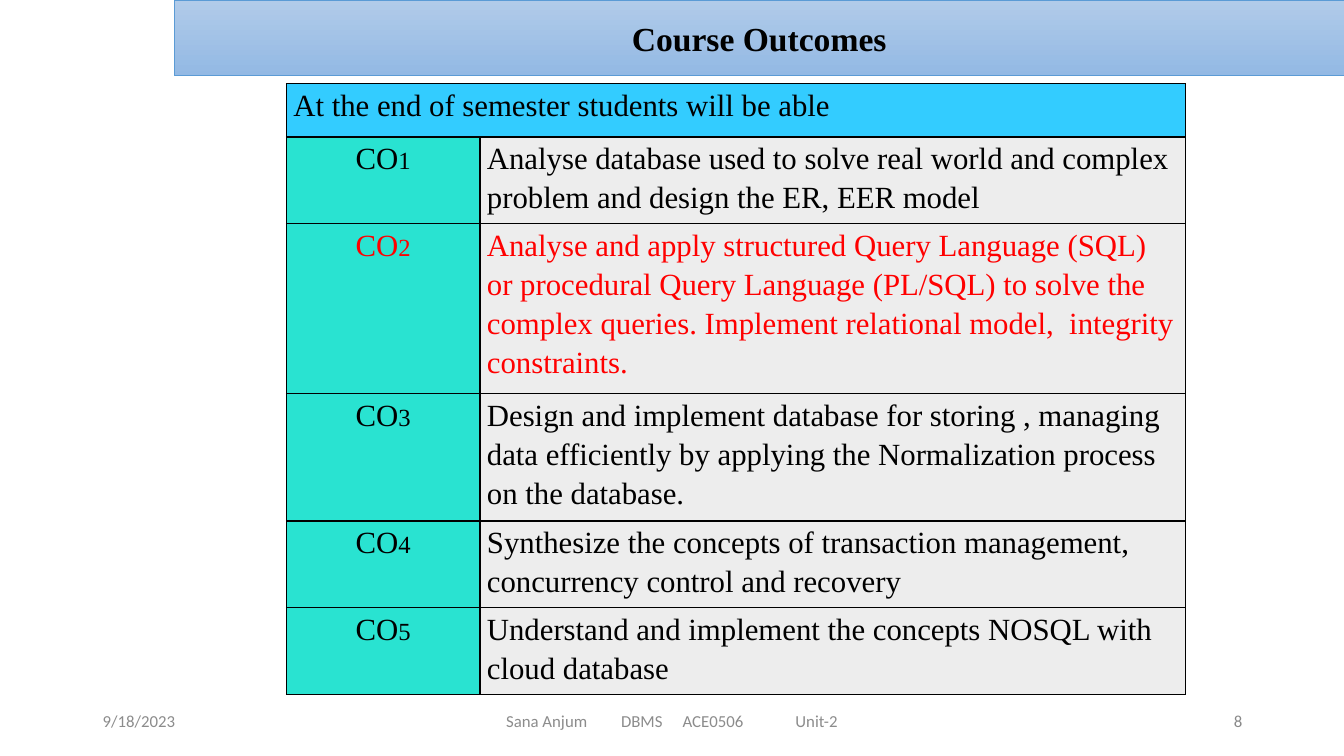
from dataclasses import dataclass

from lxml import etree
from pptx import Presentation
from pptx.dml.color import RGBColor
from pptx.enum.shapes import MSO_SHAPE
from pptx.enum.text import MSO_ANCHOR, PP_ALIGN
from pptx.oxml.ns import qn
from pptx.util import Inches, Pt

RECTANGLE = MSO_SHAPE.RECTANGLE
MIDDLE = MSO_ANCHOR.MIDDLE
LEFT, CENTER, RIGHT = PP_ALIGN.LEFT, PP_ALIGN.CENTER, PP_ALIGN.RIGHT


@dataclass(frozen=True)
class Theme:
    serif: str = "Times New Roman"
    sans: str = "Calibri"
    title_size: int = 24
    table_size: int = 22
    footer_size: int = 12
    text: str = "000000"
    highlight: str = "FF0000"
    footer: str = "8C8C8C"
    page_number: str = "898989"
    banner_top: str = "B1CBE9"
    banner_bottom: str = "93B9E4"
    banner_line: str = "5B9BD5"
    heading_fill: str = "33CCFF"
    code_fill: str = "29E3D1"
    outcome_fill: str = "EDEDED"


theme = Theme()


def style_text(frame, align, font, size, color):
    para = frame.paragraphs[0]
    para.alignment = align
    for span in para.runs:
        span.font.name = font
        span.font.size = Pt(size)
        span.font.color.rgb = RGBColor.from_string(color)
    return para


def add_cell_borders(cell):
    properties = cell._tc.get_or_add_tcPr()
    for side in ("a:lnL", "a:lnR", "a:lnT", "a:lnB"):
        line = etree.SubElement(properties, qn(side), w=str(Pt(1)))
        fill = etree.SubElement(line, qn("a:solidFill"))
        etree.SubElement(fill, qn("a:srgbClr"), val=theme.text)


deck = Presentation()
deck.slide_width = Inches(13.33)
deck.slide_height = Inches(7.5)
page = deck.slides.add_slide(deck.slide_layouts[6])

footers = [
    (0.92, 3, 0.1, "9/18/2023", LEFT, theme.footer, []),
    (4.42, 4.5, 0.6, "Sana Anjum\tDBMS\tACE0506\tUnit-2", LEFT, theme.footer, [1.14, 1.75, 2.87]),
    (9.42, 3, 0.1, "8", RIGHT, theme.page_number, []),
]
for left, width, inset, text, align, color, tabs in footers:
    box = page.shapes.add_textbox(Inches(left), Inches(6.95), Inches(width), Inches(0.4))
    frame = box.text_frame
    frame.word_wrap = True
    frame.vertical_anchor = MIDDLE
    frame.margin_left = Inches(inset)
    frame.text = text
    if tabs:
        properties = frame.paragraphs[0]._p.get_or_add_pPr()
        tab_list = etree.SubElement(properties, qn("a:tabLst"))
        for position in tabs:
            etree.SubElement(tab_list, qn("a:tab"), pos=str(Inches(position)), algn="l")
    style_text(frame, align, theme.sans, theme.footer_size, color)

banner = page.shapes.add_shape(RECTANGLE, Inches(1.73), Inches(0), Inches(11.6), Inches(0.75))
banner.shadow.inherit = False
banner.fill.gradient()
banner.fill.gradient_angle = 270
for stop, color in zip(banner.fill.gradient_stops, (theme.banner_top, theme.banner_bottom)):
    stop.color.rgb = RGBColor.from_string(color)
banner.line.color.rgb = RGBColor.from_string(theme.banner_line)
banner.line.width = Pt(0.5)
banner.text_frame.text = "Course Outcomes"
banner.text_frame.vertical_anchor = MIDDLE
title = style_text(banner.text_frame, CENTER, theme.serif, theme.title_size, theme.text)
title.runs[0].font.bold = True

outcomes = [
    "Analyse database used to solve real world and complex problem and design the ER, EER model",
    "Analyse and apply structured Query Language (SQL) or procedural Query Language (PL/SQL) "
    "to solve the complex queries. Implement relational model,  integrity constraints.",
    "Design and implement database for storing , managing data efficiently by applying "
    "the Normalization process on the database.",
    "Synthesize the concepts of transaction management, concurrency control and recovery",
    "Understand and implement the concepts NOSQL with cloud database",
]
rows = [("At the end of semester students will be able", "")]
rows += [(f"CO{number}", outcome) for number, outcome in enumerate(outcomes, 1)]
column_widths = [1.92, 7]
row_heights = [0.53, 0.86, 1.59, 1.19, 0.86, 0.86]

table = page.shapes.add_table(
    len(rows), len(column_widths), Inches(2.84), Inches(0.83),
    Inches(sum(column_widths)), Inches(sum(row_heights)),
).table
table.first_row = False
table.horz_banding = False
for column, width in zip(table.columns, column_widths):
    column.width = Inches(width)
for row, height in zip(table.rows, row_heights):
    row.height = Inches(height)
table.cell(0, 0).merge(table.cell(0, 1))

for row_index, row in enumerate(rows):
    color = theme.highlight if row[0] == "CO2" else theme.text
    for column_index, text in enumerate(row):
        is_code = row_index > 0 and column_index == 0
        fill = theme.code_fill if is_code else theme.outcome_fill
        if row_index == 0:
            fill = theme.heading_fill
        cell = table.cell(row_index, column_index)
        add_cell_borders(cell)
        cell.fill.solid()
        cell.fill.fore_color.rgb = RGBColor.from_string(fill)
        cell.margin_left = cell.margin_right = Inches(0.07)
        cell.margin_top = cell.margin_bottom = Inches(0)
        if text:
            cell.text_frame.text = text
            align = CENTER if is_code else LEFT
            para = style_text(cell.text_frame, align, theme.serif, theme.table_size, color)
            para.line_spacing = 1.15
            if is_code:
                para.runs[0]._r.get_or_add_rPr().set("cap", "small")

deck.save("out.pptx")
